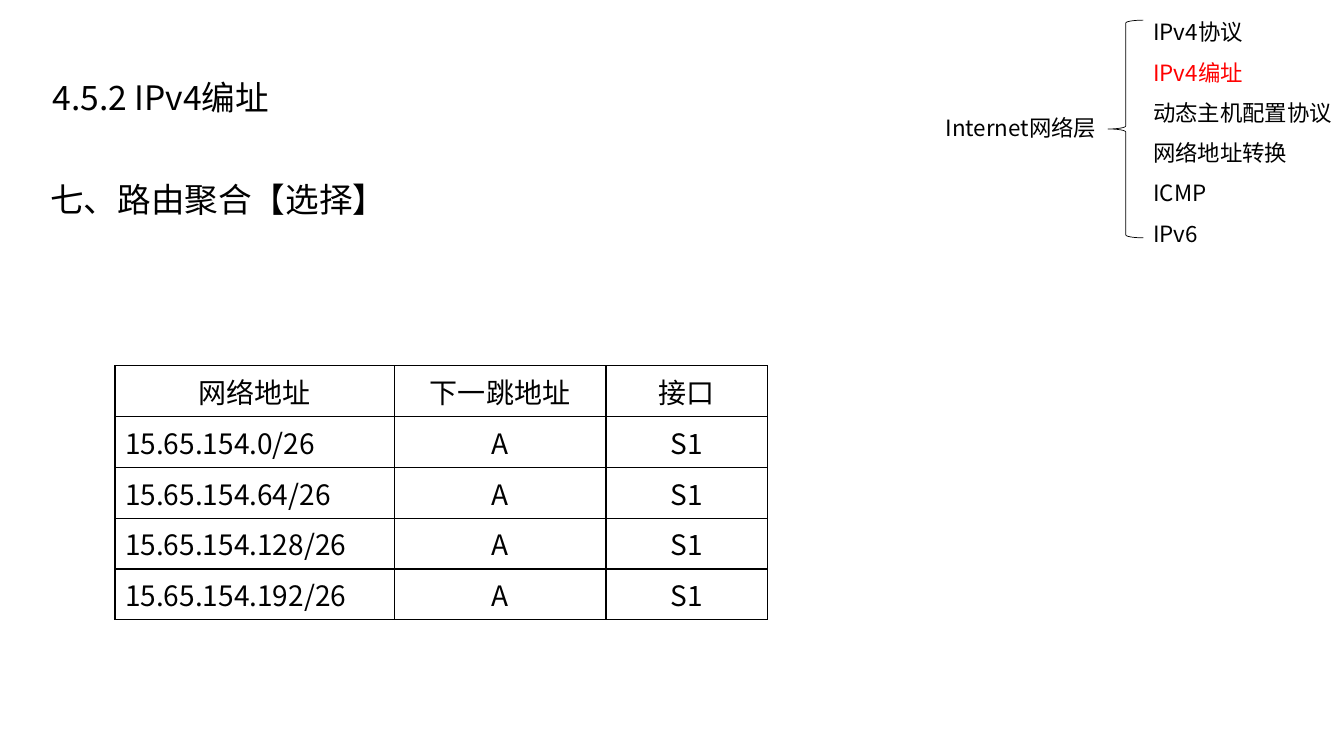
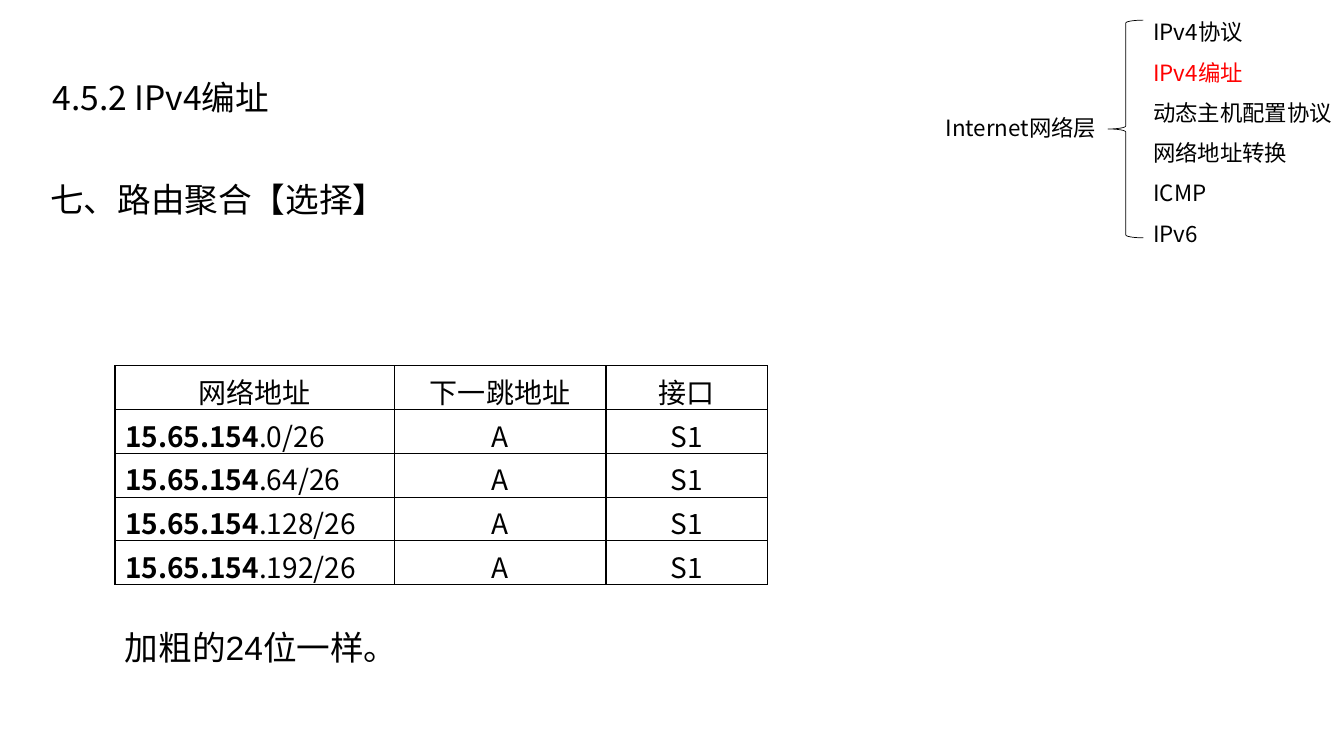
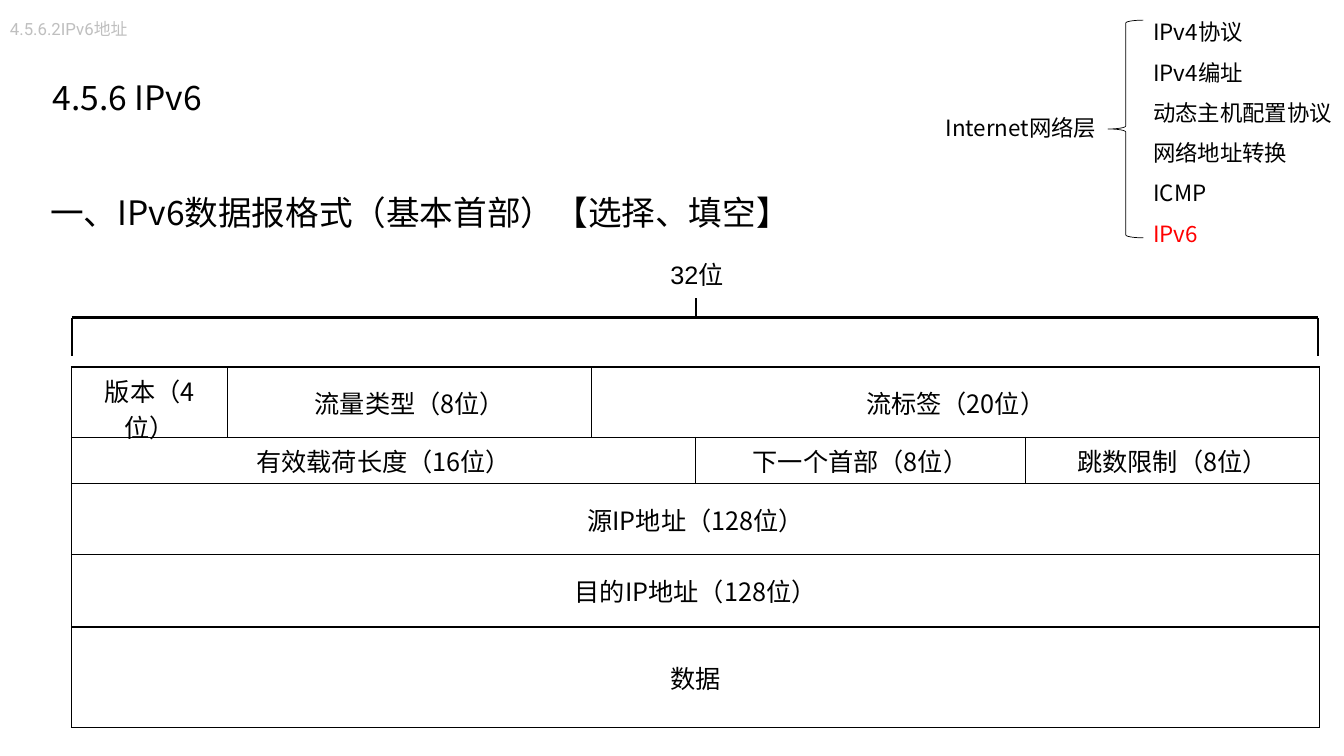
from lxml import etree
from pptx import Presentation
from pptx.dml.color import RGBColor
from pptx.enum.shapes import MSO_CONNECTOR as CONN, MSO_SHAPE as SHAPE
from pptx.enum.text import MSO_ANCHOR as ANCHOR, MSO_AUTO_SIZE as AUTO, PP_ALIGN as ALIGN
from pptx.oxml.ns import qn
from pptx.util import Emu, Pt

COLORS = {"ink": "000000", "accent": "FF0000", "muted": "BFBFBF"}
CJK = "Noto Sans CJK SC"
EMU_PER_PX = 9144
TOPICS = ["IPv4协议", "IPv4编址", "动态主机配置协议", "网络地址转换", "ICMP", "IPv6"]
PREFIX = "15.65.154"
HOSTS = [0, 64, 128, 192]


def px(n):
    return Emu(n * EMU_PER_PX)


def rgb(name):
    return RGBColor.from_string(COLORS[name])


class Deck:
    """Holds the presentation style and the slide being built."""

    def __init__(self):
        self.prs = Presentation()
        self.prs.slide_width, self.prs.slide_height = px(1333), px(750)
        self.s = None

    def new_slide(self):
        self.s = self.prs.slides.add_slide(self.prs.slide_layouts[6])

    def run(self, p, text, size, color="ink", font=CJK, bold=False):
        r = p.add_run()
        r.text = text
        r.font.size, r.font.name, r.font.bold = Pt(size), font, bold
        r.font.color.rgb = rgb(color)
        etree.SubElement(r.font._element, qn("a:ea")).set("typeface", CJK)

    def text(self, box, lines, size, font=CJK, spacing=1.0, grow=True):
        tf = self.s.shapes.add_textbox(*map(px, box)).text_frame
        tf.word_wrap = True
        tf.auto_size = AUTO.SHAPE_TO_FIT_TEXT if grow else AUTO.NONE
        for i, (line, color) in enumerate(lines):
            p = tf.add_paragraph() if i else tf.paragraphs[0]
            p.line_spacing = spacing
            self.run(p, line, size, color, font)
        return tf

    def title(self, text):
        tf = self.text((40, 34, 675, 104), [(text, "ink")], 24, spacing=1.5, grow=False)
        tf.vertical_anchor = ANCHOR.MIDDLE
        tf.margin_left = tf.margin_right = px(12)
        tf.margin_top = tf.margin_bottom = px(6)

    def heading(self, text, top, width):
        self.text((40, top, width, 64), [(text, "ink")], 24, spacing=1.5)

    def topic_map(self, current, root_width):
        brace = self.s.shapes.add_shape(SHAPE.LEFT_BRACE, *map(px, (1099, 20, 35, 216)))
        brace.shadow.inherit = False
        brace.fill.background()
        brace.line.color.rgb, brace.line.width = rgb("ink"), Pt(0.5)
        topics = [(t, "accent" if t == current else "ink") for t in TOPICS]
        self.text((1134, 0, 200, 252), topics, 16, spacing=1.5)
        self.text((928, 108, root_width, 37), [("Internet网络层", "ink")], 16)

    def line(self, x1, y1, x2, y2):
        c = self.s.shapes.add_connector(CONN.STRAIGHT, *map(px, (x1, y1, x2, y2)))
        c.line.color.rgb, c.line.width = rgb("ink"), Pt(1.5)
        etree.SubElement(c._element.spPr, qn("a:effectLst"))

    def border(self, cell):
        tcPr = cell._tc.get_or_add_tcPr()
        for side in ("lnL", "lnR", "lnT", "lnB"):
            ln = etree.SubElement(tcPr, qn(f"a:{side}"), w=str(Pt(1)))
            fill = etree.SubElement(ln, qn("a:solidFill"))
            etree.SubElement(fill, qn("a:srgbClr"), val=COLORS["ink"])

    def table(self, left, top, cols, heights, rows, size, anchor=ANCHOR.TOP, left_body=False):
        box = map(px, (left, top, sum(cols), sum(heights)))
        t = self.s.shapes.add_table(len(rows), len(cols), *box).table
        t.first_row = t.horz_banding = False
        for col, w in zip(t.columns, cols):
            col.width = px(w)
        for row, h in zip(t.rows, heights):
            row.height = px(h)
        for i, row in enumerate(rows):
            for j, runs in enumerate(row):
                cell = t.cell(i, j)
                self.border(cell)
                cell.fill.background()
                if runs is None:
                    continue
                end = j
                while end + 1 < len(row) and row[end + 1] is None:
                    end += 1
                if end > j:
                    cell.merge(t.cell(i, end))
                cell.vertical_anchor = anchor
                p = cell.text_frame.paragraphs[0]
                p.alignment = ALIGN.LEFT if left_body and i and not j else ALIGN.CENTER
                for text, bold in runs:
                    self.run(p, text, size, bold=bold)


def plain(*texts):
    return [t and [(t, False)] for t in texts]


def routing_slide(deck, bold_prefix, root_width):
    deck.new_slide()
    rows = [plain("网络地址", "下一跳地址", "接口")]
    for host in HOSTS:
        if bold_prefix:
            address = [(PREFIX, True), (f".{host}/26", False)]
        else:
            address = [(f"{PREFIX}.{host}/26", False)]
        rows.append([address] + plain("A", "S1"))
    deck.table(114, 363, [277, 210, 160], [41] * 5, rows, 20, left_body=True)
    if bold_prefix:
        deck.text((114, 617, 292, 50), [("加粗的24位一样。", "ink")], 24, "Arial")
    deck.topic_map("IPv4编址", root_width)
    deck.title("4.5.2 IPv4编址")
    deck.heading("七、路由聚合【选择】", 153, 953)


def header_slide(deck):
    deck.new_slide()
    rows = [
        plain("版本（4位）", "流量类型（8位）", "流标签（20位）", None, None),
        plain("有效载荷长度（16位）", None, None, "下一个首部（8位）", "跳数限制（8位）"),
    ]
    for field in ("源IP地址（128位）", "目的IP地址（128位）", "数据"):
        rows.append(plain(field, None, None, None, None))
    deck.table(71, 364, [155, 361, 103, 327, 292], [46, 46, 70, 72, 100],
               rows, 18, ANCHOR.MIDDLE)
    left, right, bar = 71, 1307, 315
    for x in (left, right):
        deck.line(x, bar, x, 353)
    deck.line(left, bar, right, bar)
    deck.line(690, 296, 690, bar)
    deck.text((655, 252, 106, 40), [("32位", "ink")], 18, "Arial")
    deck.text((0, 14, 138, 30), [("4.5.6.2IPv6地址", "muted")], 12, "Roboto")
    deck.heading("一、IPv6数据报格式（基本首部）【选择、填空】", 165, 870)
    deck.topic_map("IPv6", 173)
    deck.title("4.5.6 IPv6")


def main():
    deck = Deck()
    routing_slide(deck, False, 173)
    routing_slide(deck, True, 178)
    header_slide(deck)
    deck.prs.save("out.pptx")


if __name__ == "__main__":
    main()
